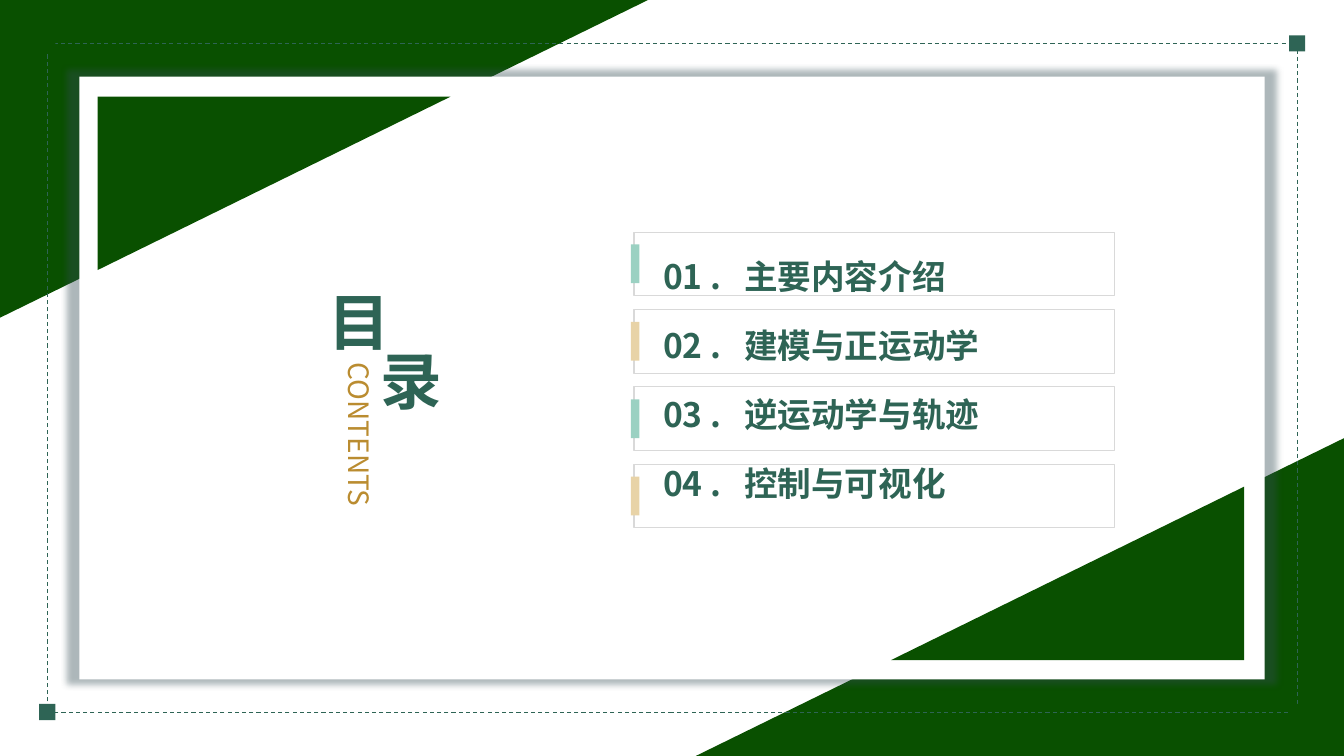
from lxml import etree
from pptx import Presentation
from pptx import util as u
from pptx.dml.color import RGBColor
from pptx.enum import dml, shapes, text
from pptx.oxml import ns

Pt = u.Pt
WHITE = RGBColor(0xFF, 0xFF, 0xFF)
FOREST = RGBColor(0x09, 0x50, 0x00)
TEAL = RGBColor(0x2E, 0x64, 0x55)
GOLD = RGBColor(0xBA, 0x8C, 0x30)
MINT = RGBColor(0x9B, 0xD1, 0xC2)
SAND = RGBColor(0xE8, 0xD3, 0xA7)
GREY = RGBColor(0xD9, 0xD9, 0xD9)
SHADOW = RGBColor(0x33, 0x4C, 0x53)

RECT = shapes.MSO_SHAPE.RECTANGLE
TRIANGLE = shapes.MSO_SHAPE.RIGHT_TRIANGLE


def child(parent, tag, **attrs):
    return etree.SubElement(parent, ns.qn(tag), {k: str(v) for k, v in attrs.items()})


class Deck:
    """Holds the text style and the current slide."""

    font = "Noto Sans CJK SC"

    def __init__(self, width, height):
        self.prs = Presentation()
        self.prs.slide_width, self.prs.slide_height = Pt(width), Pt(height)
        self.s = self.prs.slides.add_slide(self.prs.slide_layouts[1])

    def shape(self, kind, box, fill=None, line=None, dash=None):
        sp = self.s.shapes.add_shape(kind, *map(Pt, box))
        sp.shadow.inherit = False
        if fill is None:
            sp.fill.background()
        else:
            sp.fill.solid()
            sp.fill.fore_color.rgb = fill
        if line is None:
            sp.line.fill.background()
        else:
            sp.line.color.rgb = line
            sp.line.width = Pt(0.75)
            sp.line.dash_style = dash
        return sp

    def corner(self, box, rotation=0):
        """Right triangle with its square corner at the top left, then turned."""
        sp = self.shape(TRIANGLE, box, FOREST)
        sp.rotation = rotation
        sp._element.spPr.find(ns.qn("a:xfrm")).set("flipV", "1")

    def card(self, box):
        """White panel with a soft, slightly larger shadow."""
        sp = self.shape(RECT, box, WHITE)
        effects = sp._element.spPr.find(ns.qn("a:effectLst"))
        outer = child(effects, "a:outerShdw", blurRad=Pt(5), sx=102000, sy=102000,
                      algn="ctr", rotWithShape=0)
        child(child(outer, "a:srgbClr", val=SHADOW), "a:alpha", val=40000)

    def frame(self, sp, box, **settings):
        """Place a text shape and set up its text frame."""
        sp.left, sp.top, sp.width, sp.height = map(Pt, box)
        tf = sp.text_frame
        values = {"auto_size": text.MSO_AUTO_SIZE.NONE, "word_wrap": True,
                  "vertical_anchor": text.MSO_ANCHOR.TOP,
                  "margin_left": Pt(7.2), "margin_right": Pt(7.2),
                  "margin_top": Pt(3.6), "margin_bottom": Pt(3.6), **settings}
        for name, value in values.items():
            setattr(tf, name, value)
        return tf

    def add_words(self, p, words, size, color, bold=True):
        p.alignment = text.PP_ALIGN.LEFT
        r = p.add_run()
        r.text = words
        for name, value in {"name": self.font, "size": Pt(size), "bold": bold}.items():
            setattr(r.font, name, value)
        r.font.color.rgb = color
        child(r._r.get_or_add_rPr(), "a:ea", typeface=self.font)

    def placeholder(self, index):
        """Bring a template placeholder in front of the backdrop."""
        sp = self.s.placeholders[index]
        sp._element.getparent().append(sp._element)
        return sp

    def title(self, words, box):
        tf = self.frame(self.placeholder(0), box, margin_right=0)
        tf.paragraphs[0].line_spacing = 1.1
        self.add_words(tf.paragraphs[0], words, 44, TEAL)

    def label(self, words, box, size, color, bold=True, vertical=False):
        sp = self.s.shapes.add_textbox(*map(Pt, box))
        tf = self.frame(sp, box, word_wrap=False)
        if vertical:
            tf._txBody.bodyPr.set("vert", "eaVert")
            tf.paragraphs[0].line_spacing = 1.1
        self.add_words(tf.paragraphs[0], words, size, color, bold)

    def contents(self, items, box, gap, indent):
        """Numbered list with the entries hanging after a tab."""
        tf = self.frame(self.placeholder(1), box, margin_left=Pt(13.7),
                        vertical_anchor=text.MSO_ANCHOR.MIDDLE)
        for i, item in enumerate(items):
            p = tf.add_paragraph() if i else tf.paragraphs[0]
            pPr = p._p.get_or_add_pPr()
            pPr.set("marL", str(Pt(indent)))
            pPr.set("indent", str(-Pt(indent)))
            child(pPr, "a:buNone")
            child(child(pPr, "a:tabLst"), "a:tab", pos=Pt(indent), algn="l")
            p.line_spacing = 1.0
            p.space_before = Pt(gap if i else 0)
            self.add_words(p, f"{i + 1:02d} .\t{item}", 24, TEAL)


def main():
    deck = Deck(960, 540)

    # Green corners and the white card
    deck.corner((0, 0, 463, 227))
    deck.corner((497, 313, 463, 227), 180)
    deck.card((56.7, 54.7, 846.6, 430.6))
    deck.corner((69.8, 69.1, 252, 123.8))
    deck.corner((636.6, 347.6, 252, 123.8), 180)

    # Dashed frame with a square on each corner
    left, top, width, height, side = 33.8, 31, 892.8, 477.6, 11.5
    deck.shape(RECT, (left, top, width, height), line=TEAL,
               dash=dml.MSO_LINE.DASH)
    for col in range(2):
        for row in range(2):
            deck.shape(RECT, (left + col * width - side / 2,
                              top + row * height - side / 2, side, side),
                       FOREST if col == row else TEAL)

    # Heading
    deck.title("目", (227.5, 193.7, 51.2, 62))
    deck.label("录", (265, 241.2, 59, 60.5), 44, TEAL)
    deck.label("CONTENTS", (234, 252, 41, 116), 20, GOLD, bold=False, vertical=True)

    # Contents list with its boxes and coloured tabs
    items = ["主要内容介绍", "建模与正运动学", "逆运动学与轨迹", "控制与可视化"]
    first, pitch, box_height = 165.8, 55.3, 45.4
    list_height = (len(items) - 1) * pitch + box_height
    deck.contents(items, (460, first, 376.6, list_height), gap=20.5, indent=57.8)
    for i in range(len(items)):
        y = first + i * pitch
        deck.shape(RECT, (452.9, y, 343.4, box_height), line=GREY)
        deck.shape(RECT, (450.7, y + 8.8, 6.1, 27.7), SAND if i % 2 else MINT)

    deck.prs.save("out.pptx")


if __name__ == "__main__":
    main()
